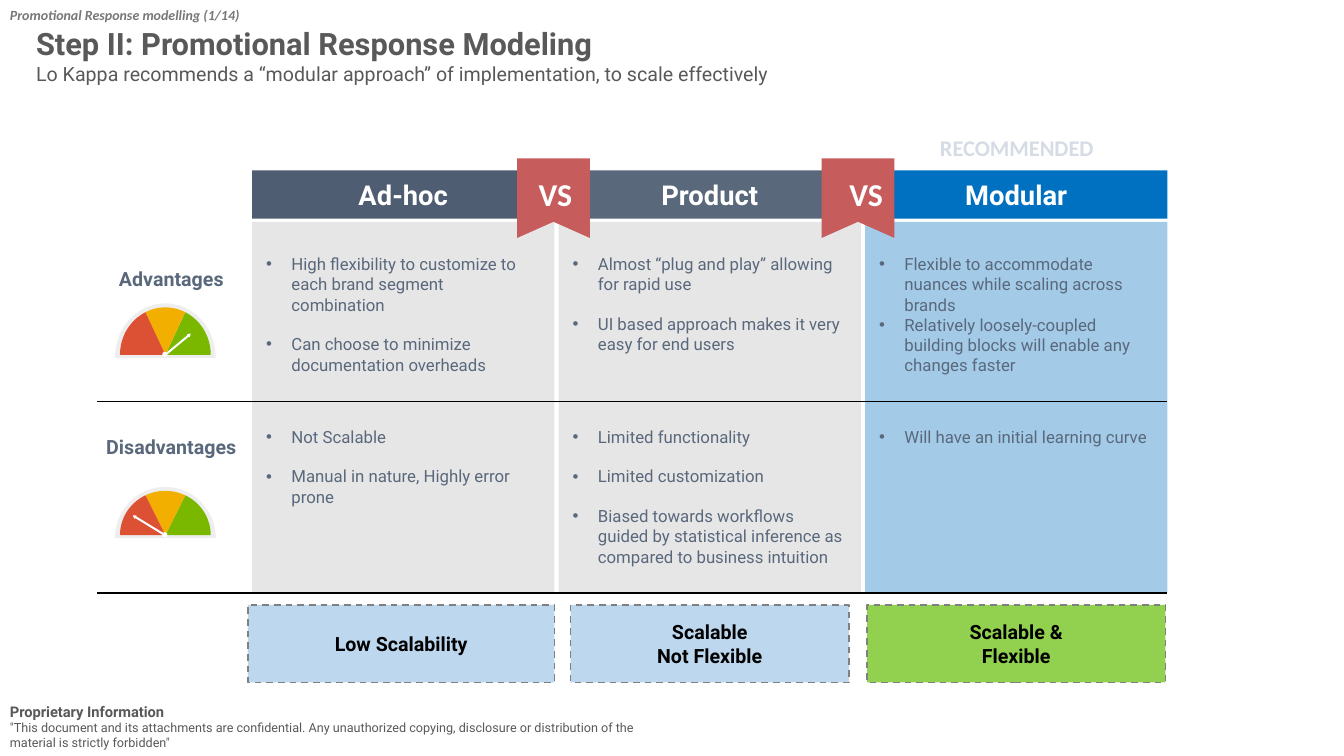
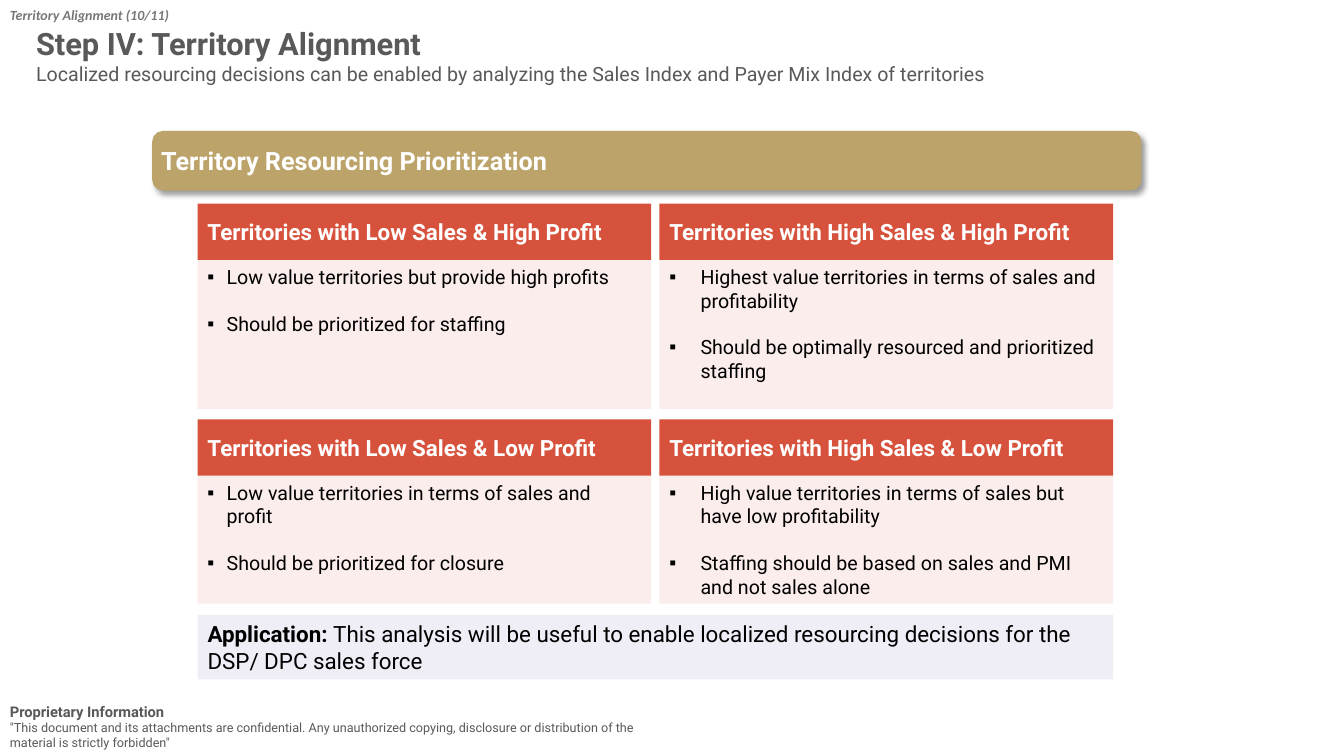
from math import cos, pi, radians, sin

from lxml import etree
from pptx import Presentation
from pptx.dml.color import RGBColor
from pptx.enum.dml import MSO_LINE
from pptx.enum.shapes import MSO_CONNECTOR, MSO_SHAPE as SHAPE
from pptx.enum.text import MSO_ANCHOR as ANCHOR, PP_ALIGN as ALIGN
from pptx.oxml.ns import qn
from pptx.util import Inches, Pt

GREY, SLATE, WHITE, BLACK = "595959", "5A687C", "FFFFFF", "000000"
COLUMN_GREY, BLUE, RIBBON_RED = "E6E6E6", "0070C0", "C75C5C"
GAUGE_RIM, RED, AMBER, GREEN = "EEEEEE", "DC5034", "F2AF00", "7AB800"
PALE_BLUE, LIME, DASH_GREY = "BDD7EE", "92D050", "808080"
CARD_RED, CARD_PINK, LILAC, GOLD = "D7523C", "FBEDEB", "EFEEF6", "BCA36A"
FONT, TAG_FONT = "Roboto", "Calibri"
MARGINS = (0.1, 0.05)


def rgb(hex_color):
    return RGBColor.from_string(hex_color)


def style(run, size, color, bold=False, italic=False, font=FONT):
    run.font.size, run.font.name = Pt(size), font
    run.font.bold, run.font.italic = bold, italic
    run.font.color.rgb = rgb(color)


def write(shape, lines, size, color, align=ALIGN.LEFT, anchor=ANCHOR.TOP,
          margins=MARGINS, **look):
    """Fill a shape with one paragraph per line, all in one style."""
    frame = shape.text_frame
    frame.word_wrap, frame.vertical_anchor = True, anchor
    frame.margin_left = frame.margin_right = Inches(margins[0])
    frame.margin_top = frame.margin_bottom = Inches(margins[1])
    frame.text = "\n".join(lines)
    for paragraph in frame.paragraphs:
        paragraph.alignment = align
        style(paragraph.runs[0], size, color, **look)
    return frame


def write_centred(shape, lines, size, color, **look):
    write(shape, lines, size, color, ALIGN.CENTER, ANCHOR.MIDDLE, (0, 0), **look)


def write_bullets(shape, lines, size, color, mark, indent, gap, margins=MARGINS):
    frame = write(shape, lines, size, color, margins=margins)
    for number, paragraph in enumerate(frame.paragraphs):
        properties = paragraph._p.get_or_add_pPr()
        properties.set("marL", str(Inches(indent)))
        properties.set("indent", str(-Inches(indent)))
        etree.SubElement(properties, qn("a:buFont")).set("typeface", "Arial")
        etree.SubElement(properties, qn("a:buChar")).set("char", mark)
        if number:
            paragraph.space_before = Pt(gap)


def text_box(slide, left, top, width, height):
    return slide.shapes.add_textbox(*map(Inches, (left, top, width, height)))


def paint(shape, fill):
    shape.shadow.inherit = False
    shape.fill.solid()
    shape.fill.fore_color.rgb = rgb(fill)
    shape.line.fill.background()
    return shape


def block(slide, left, top, width, height, fill, kind=SHAPE.RECTANGLE):
    box = map(Inches, (left, top, width, height))
    return paint(slide.shapes.add_shape(kind, *box), fill)


def outline(slide, points, fill):
    start, *rest = [(Inches(x), Inches(y)) for x, y in points]
    builder = slide.shapes.build_freeform(*start, scale=1.0)
    builder.add_line_segments(rest, close=True)
    return paint(builder.convert_to_shape(), fill)


def rule(slide, left, right, y, weight):
    line = slide.shapes.add_connector(
        MSO_CONNECTOR.STRAIGHT, Inches(left), Inches(y), Inches(right), Inches(y))
    line.line.color.rgb = rgb(BLACK)
    line.line.width = Pt(weight)
    etree.SubElement(line._element.spPr, qn("a:effectLst"))


def new_slide(deck, tag, title, subtitle):
    """Add a blank slide with the shared tag, title and footer."""
    slide = deck.slides.add_slide(deck.slide_layouts[6])
    footer = write(text_box(slide, 0, 6.92, 6.67, 0.58), [
        "Proprietary Information",
        '"This document and its attachments are confidential. Any unauthorized '
        'copying, disclosure or distribution of the material is strictly forbidden"',
    ], 10.5, GREY, bold=True)
    style(footer.paragraphs[1].runs[0], 9, GREY)
    heading = write(text_box(slide, 0.26, 0.19, 12.17, 0.71), [title, subtitle],
                    22, GREY, anchor=ANCHOR.MIDDLE, bold=True)
    style(heading.paragraphs[1].runs[0], 14, GREY)
    write(text_box(slide, 0, 0.02, 4, 0.27), [tag], 10, "777777",
          bold=True, italic=True, font=TAG_FONT)
    return slide


def option_column(slide, left, name, header_fill, body_fill, alpha=None):
    write_centred(block(slide, left, 1.69, 3, 0.48, header_fill), [name],
                  19.5, WHITE, bold=True)
    body = block(slide, left, 2.2, 3, 3.68, body_fill)
    if alpha:
        color = body._element.spPr.find(qn("a:solidFill"))[0]
        etree.SubElement(color, qn("a:alpha")).set("val", str(alpha * 1000))


def versus_ribbon(slide, center, label_shift):
    top, bottom, notch, half = 1.57, 2.36, 2.2, 0.36
    outline(slide, [(center - half, top), (center + half, top),
                    (center + half, bottom), (center, notch),
                    (center - half, bottom)], RIBBON_RED)
    label = text_box(slide, center + label_shift - 0.3, 1.8, 0.6, 0.25)
    write_centred(label, ["VS"], 22.7, WHITE, bold=True, font=TAG_FONT)


def arc(center, base, radius_x, radius_y, start, end, steps=24):
    angles = [radians(start + (end - start) * i / steps) for i in range(steps + 1)]
    return [(center + radius_x * cos(a), base - radius_y * sin(a)) for a in angles]


def gauge(slide, left, top, height, needle_angle, needle_length):
    """Draw a half-round dial; the needle angle is clockwise from the right."""
    center, hub = left + 0.5, top + height - 0.03
    outline(slide, arc(center, top + height, 0.5, height, 0, 180), GAUGE_RIM)
    for start, end, fill in ((0, 64, GREEN), (64, 116, AMBER), (116, 180, RED)):
        sector = arc(center, hub, 0.45, height - 0.07, start, end)
        outline(slide, [(center, hub)] + sector, fill)
    block(slide, center - 0.03, hub - 0.03, 0.05, 0.05, WHITE, SHAPE.OVAL)
    reach, turn = needle_length / 2, needle_angle * pi / 180
    needle = block(slide, center + reach * cos(turn) - reach,
                   hub + reach * sin(turn) - 0.02, needle_length, 0.04,
                   WHITE, SHAPE.RIGHT_ARROW)
    needle.adjustments[1] = 0.82
    needle.rotation = needle_angle


def criterion_label(slide, top, name):
    write_centred(text_box(slide, 0.95, top, 1.5, 0.38), [name], 14, SLATE, bold=True)


def verdict(slide, left, width, lines, fill):
    box = block(slide, left, 6, width, 0.77, fill)
    box.line.color.rgb = rgb(DASH_GREY)
    box.line.width = Pt(1.2)
    box.line.dash_style = MSO_LINE.DASH
    write_centred(box, lines, 14, BLACK, bold=True)


def comparison_slide(deck):
    slide = new_slide(
        deck, "Promotional Response modelling (1/14)",
        "Step II: Promotional Response Modeling",
        "Lo Kappa recommends a “modular approach” of implementation, to scale effectively")
    column_lefts = [2.5 + 3.04 * i for i in range(3)]
    columns = [("Ad-hoc", "4F5D73", COLUMN_GREY),
               ("Product", SLATE, COLUMN_GREY),
               ("Modular", BLUE, BLUE, 36)]
    for left, column in zip(column_lefts, columns):
        option_column(slide, left, *column)
    versus_ribbon(slide, 5.49, 0.02)
    versus_ribbon(slide, 8.51, 0.08)
    rule(slide, 0.96, 11.57, 3.98, 0.5)
    rule(slide, 0.96, 11.57, 5.88, 1.2)

    advantages = [
        (["High flexibility to customize to each brand segment combination",
          "Can choose to minimize documentation overheads"], 14),
        (["Almost “plug and play” allowing for rapid use",
          "UI based approach makes it very easy for end users"], 14),
        (["Flexible to accommodate nuances while scaling across brands",
          "Relatively loosely-coupled building blocks will enable any changes faster"], 0),
    ]
    disadvantages = [
        (["Not Scalable", "Manual in nature, Highly error prone"], 14),
        (["Limited functionality", "Limited customization",
          "Biased towards workflows guided by statistical inference as compared "
          "to business intuition"], 14),
        (["Will have an initial learning curve"], 0),
    ]
    for top, cells in ((2.52, advantages), (4.23, disadvantages)):
        for left, (points, gap) in zip(column_lefts, cells):
            write_bullets(text_box(slide, left + 0.14, top, 2.72, 1.09), points,
                          12, SLATE, "•", 0.25, gap, (0, 0))

    criterion_label(slide, 2.57, "Advantages")
    gauge(slide, 1.14, 3.01, 0.54, 320.3, 0.33)
    criterion_label(slide, 4.24, "Disadvantages")
    gauge(slide, 1.14, 4.83, 0.51, 211.4, 0.38)
    write(text_box(slide, 9.08, 1.28, 2.01, 0.37), ["RECOMMENDED"], 16, "D6DCE5",
          ALIGN.CENTER, bold=True, font=TAG_FONT)
    verdict(slide, 2.46, 3.04, ["Low Scalability"], PALE_BLUE)
    verdict(slide, 5.66, 2.76, ["Scalable", "Not Flexible"], PALE_BLUE)
    verdict(slide, 8.6, 2.96, ["Scalable &", "Flexible"], LIME)


def banner(slide, left, top, width, height, title):
    bar = block(slide, left, top, width, height, GOLD, SHAPE.ROUNDED_RECTANGLE)
    bar.line.color.rgb = rgb(GOLD)
    bar.line.width = Pt(1.5)
    shadow = etree.SubElement(bar._element.spPr.find(qn("a:effectLst")),
                              qn("a:outerShdw"), blurRad=str(Pt(4)),
                              dist=str(Pt(3)), dir=str(45 * 60000))
    color = etree.SubElement(shadow, qn("a:srgbClr"), val=BLACK)
    etree.SubElement(color, qn("a:alpha"), val="40000")
    write(bar, [title], 18, WHITE, anchor=ANCHOR.MIDDLE, margins=(0.05, 0.05), bold=True)


def territory_card(slide, left, top, body_height, indent, title, points):
    width, header_height = 4.5, 0.56
    body = block(slide, left, top + header_height, width, body_height, CARD_PINK)
    write_bullets(body, points, 14, BLACK, "▪", indent, 16.5)
    write(block(slide, left, top, width, header_height, CARD_RED), [title],
          16, WHITE, anchor=ANCHOR.MIDDLE, bold=True)


def territory_slide(deck):
    slide = new_slide(
        deck, "Territory Alignment (10/11)", "Step IV: Territory Alignment",
        "Localized resourcing decisions can be enabled by analyzing the Sales Index "
        "and Payer Mix Index of territories")
    banner(slide, 1.52, 1.31, 9.79, 0.57, "Territory Resourcing Prioritization")
    card_columns = [(1.96, 0.19), (6.54, 0.31)]
    card_rows = [
        (2.02, 1.48, [
            ("Territories with Low Sales & High Profit",
             ["Low value territories but provide high profits",
              "Should be prioritized for staffing"]),
            ("Territories with High Sales & High Profit",
             ["Highest value territories in terms of sales and profitability",
              "Should be optimally resourced and prioritized staffing"])]),
        (4.16, 1.27, [
            ("Territories with Low Sales & Low Profit",
             ["Low value territories in terms of sales and profit",
              "Should be prioritized for closure"]),
            ("Territories with High Sales & Low Profit",
             ["High value territories in terms of sales but have low profitability",
              "Staffing should be based on sales and PMI and not sales alone"])]),
    ]
    for top, body_height, cards in card_rows:
        for (left, indent), (title, points) in zip(card_columns, cards):
            territory_card(slide, left, top, body_height, indent, title, points)

    application = write(block(slide, 1.96, 6.1, 9.08, 0.64, LILAC),
                        ["Application: "], 16, BLACK, bold=True)
    use = application.paragraphs[0].add_run()
    use.text = ("This analysis will be useful to enable localized resourcing "
                "decisions for the DSP/ DPC sales force")
    style(use, 16, BLACK)


def main():
    deck = Presentation()
    deck.slide_width, deck.slide_height = Inches(13.33), Inches(7.5)
    comparison_slide(deck)
    territory_slide(deck)
    deck.save("out.pptx")


if __name__ == "__main__":
    main()
